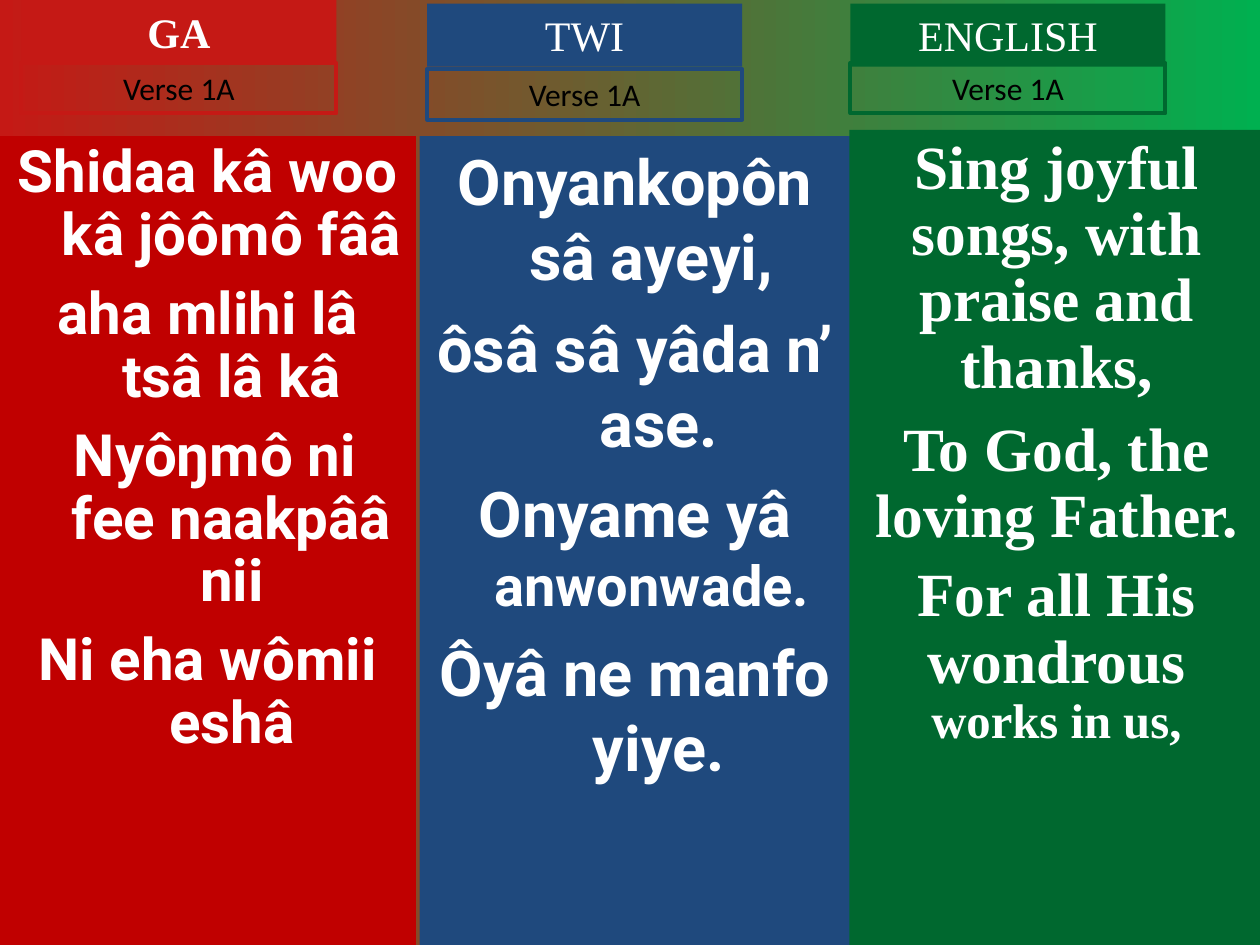
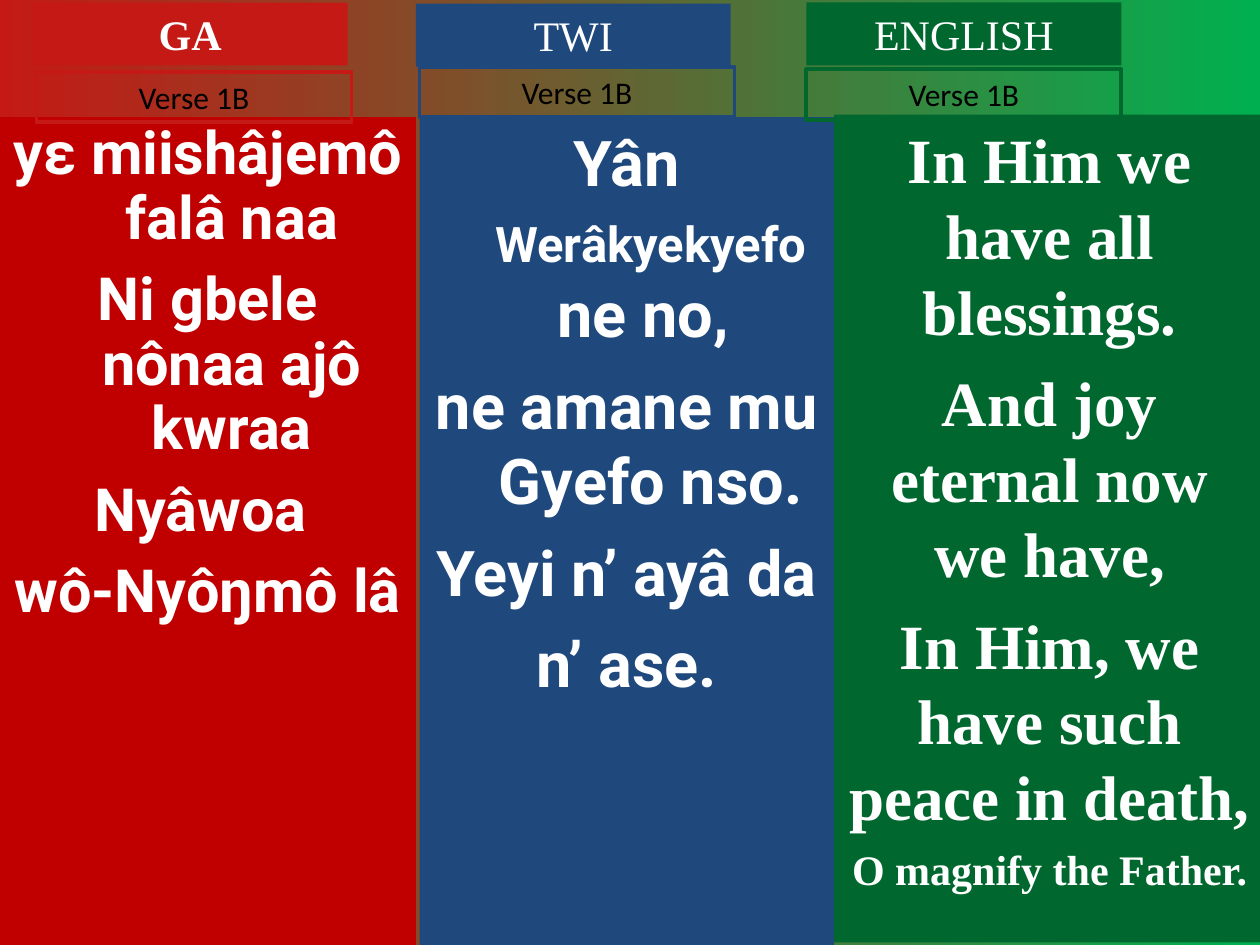
"""Build the three-language hymn slides for verse 1."""
from dataclasses import dataclass

from lxml import etree
from pptx import Presentation
from pptx.dml.color import RGBColor
from pptx.enum import shapes, text
from pptx.oxml import ns
from pptx.util import Inches, Pt


@dataclass(frozen=True)
class Theme:
    red: str = "C51915"
    deep_red: str = "C00000"
    blue: str = "1F497D"
    green: str = "00682F"
    bright_green: str = "00B050"
    white: str = "FFFFFF"
    black: str = "000000"
    serif: str = "Times New Roman"
    sans: str = "Roboto"
    label: str = "Calibri"
    header_size: float = 24
    verse_size: float = 18
    border: float = 2.25


@dataclass(frozen=True)
class Language:
    name: str
    accent: str
    panel: str
    font: str
    hang: float
    bold_header: bool = False


@dataclass(frozen=True)
class Run:
    text: str
    size: float


@dataclass(frozen=True)
class Line:
    runs: tuple[Run, ...]
    before: float = 0


@dataclass(frozen=True)
class Column:
    header: tuple[float, float]
    verse: tuple[float, float]
    panel: tuple[float, float, float, float]
    lines: list[Line]
    spacing: float = 1.0


@dataclass(frozen=True)
class Page:
    verse: str
    columns: tuple[Column, ...]


THEME = Theme()
HEADER_BOX = (2.5, 0.5)
VERSE_BOX = (2.5, 0.4)
LANGUAGES = (
    Language("GA", THEME.red, THEME.deep_red, THEME.sans, 0.38, True),
    Language("TWI", THEME.blue, THEME.blue, THEME.sans, 0.38),
    Language("ENGLISH", THEME.green, THEME.green, THEME.serif, 0),
)


def lyrics(size: float, before: float, *texts: str) -> list[Line]:
    """Return evenly spaced lines of one type size."""
    return [Line((Run(t, size),), before if i else 0) for i, t in enumerate(texts)]


PAGES = (
    Page("Verse 1A", (
        Column((0.17, 0), (0.17, 0.5), (0, 1.08, 3.3, 6.42),
               lyrics(33.3, 9, "Shidaa kâ woo kâ jôômô fââ", "aha mlihi lâ tsâ lâ kâ",
                      " Nyôŋmô ni fee naakpââ nii", "Ni eha wômii eshâ"), 0.9),
        Column((3.39, 0.03), (3.39, 0.55), (3.33, 1.08, 3.42, 6.42),
               lyrics(36, 9, "Onyankopôn sâ ayeyi, ", "ôsâ sâ yâda n’ ase.")
               + [Line((Run("Onyame yâ ", 36), Run("anwonwade. ", 32)), 8),
                  Line((Run("Ôyâ ne manfo yiye.", 36),), 9)]),
        Column((6.75, 0.03), (6.75, 0.5), (6.74, 1.03, 3.29, 6.47),
               lyrics(35.1, 9.5, "Sing joyful songs, with praise and thanks,",
                      "To God, the loving Father.")
               + [Line((Run("For all His wondrous ", 35.1), Run("works in us,", 27.8)), 7.5)],
               0.9),
    )),
    Page("Verse 1B", (
        Column((0.26, 0.02), (0.29, 0.57), (0, 0.93, 3.3, 6.57),
               lyrics(34, 10, "yɛ miishâjemô falâ naa", "Ni gbele nônaa ajô kwraa",
                      "Nyâwoa ", "wô-Nyôŋmô lâ"), 0.9),
        Column((3.3, 0.03), (3.33, 0.53), (3.33, 0.93, 3.29, 6.57),
               [Line((Run("Yân ", 36), Run("Werâkyekyefo", 28), Run(" ne no, ", 36)))]
               + lyrics(36, 9, "", "ne amane mu Gyefo nso.", "Yeyi n’ ayâ da ", "n’ ase.")[1:]),
        Column((6.4, 0.02), (6.4, 0.55), (6.62, 0.91, 3.42, 6.57),
               lyrics(36, 9, "In Him we have all blessings.", "And joy eternal now we have,",
                      "In Him, we have such peace in death,")
               + [Line((Run("O magnify the Father.", 24),), 6)]),
    )),
)


def apply(target: object, values: dict[str, object]) -> None:
    """Set each named attribute on the target."""
    for name, value in values.items():
        setattr(target, name, value)


def place(sp, box: tuple[float, ...]) -> None:
    """Move and size a shape, in inches."""
    apply(sp, dict(zip(("left", "top", "width", "height"), map(Inches, box))))


def paint(sp, fill: str | None = None, line: str | None = None) -> None:
    """Give a shape its fill and border."""
    if fill:
        sp.fill.solid()
        sp.fill.fore_color.rgb = RGBColor.from_string(fill)
    else:
        sp.fill.background()
    if line:
        sp.line.color.rgb = RGBColor.from_string(line)
        sp.line.width = Pt(THEME.border)
    else:
        sp.line.fill.background()


def write(sp, lines: list[Line], font: str, color: str, bold: bool,
          spacing: float = 1.0, hang: float = 0) -> None:
    """Fill a shape with centred lines from the top."""
    tf = sp.text_frame
    apply(tf, {"word_wrap": True, "auto_size": text.MSO_AUTO_SIZE.NONE,
               "vertical_anchor": text.MSO_ANCHOR.TOP,
               "margin_left": Inches(0.1), "margin_right": Inches(0.1),
               "margin_top": Inches(0.05), "margin_bottom": Inches(0.05)})
    for i, line in enumerate(lines):
        p = tf.add_paragraph() if i else tf.paragraphs[0]
        pPr = p._p.get_or_add_pPr()
        pPr.set("marL", str(Inches(hang)))
        pPr.set("indent", str(-Inches(hang)))
        etree.SubElement(pPr, ns.qn("a:buNone"))
        apply(p, {"alignment": text.PP_ALIGN.CENTER, "line_spacing": spacing,
                  "space_before": Pt(line.before), "space_after": Pt(0)})
        for part in line.runs:
            r = p.add_run()
            r.text = part.text
            apply(r.font, {"name": font, "size": Pt(part.size), "bold": bold})
            r.font.color.rgb = RGBColor.from_string(color)


def add_box(s, box: tuple[float, ...]):
    """Add a rectangle without a shadow."""
    sp = s.shapes.add_shape(shapes.MSO_SHAPE.RECTANGLE, *map(Inches, box))
    sp.shadow.inherit = False
    return sp


def draw_column(s, lang: Language, col: Column, verse: str, body, title) -> None:
    """Draw one language: lyrics panel, header and verse label."""
    place(body, col.panel)
    paint(body, lang.panel)
    write(body, col.lines, lang.font, THEME.white, True, col.spacing, lang.hang)

    header_box = col.header + HEADER_BOX
    header = title or add_box(s, header_box)
    place(header, header_box)
    paint(header, lang.accent)
    write(header, lyrics(THEME.header_size, 0, lang.name), THEME.serif,
          THEME.white, lang.bold_header)

    label = add_box(s, col.verse + VERSE_BOX)
    paint(label, line=lang.accent)
    write(label, lyrics(THEME.verse_size, 0, verse), THEME.label, THEME.black, False)


def draw_page(prs, page: Page) -> None:
    """Add one slide with its three language columns."""
    s = prs.slides.add_slide(prs.slide_layouts.get_by_name("Comparison"))
    title, *bodies = s.placeholders
    spare = bodies.pop()
    spare._element.getparent().remove(spare._element)
    titles = (title, None, None)
    for lang, col, body, head in zip(LANGUAGES, page.columns, bodies, titles):
        draw_column(s, lang, col, page.verse, body, head)


def set_background(prs) -> None:
    """Give the master its red to green gradient."""
    fill = prs.slide_master.background.fill
    fill.gradient()
    fill.gradient_angle = 0
    stops = zip(fill.gradient_stops, (THEME.red, THEME.bright_green), (0, 1))
    for stop, color, position in stops:
        stop.color.rgb = RGBColor.from_string(color)
        stop.position = position


def main() -> None:
    """Build and save the slides."""
    prs = Presentation()
    apply(prs, {"slide_width": Inches(10), "slide_height": Inches(7.5)})
    set_background(prs)
    for page in PAGES:
        draw_page(prs, page)
    prs.save("out.pptx")


if __name__ == "__main__":
    main()
